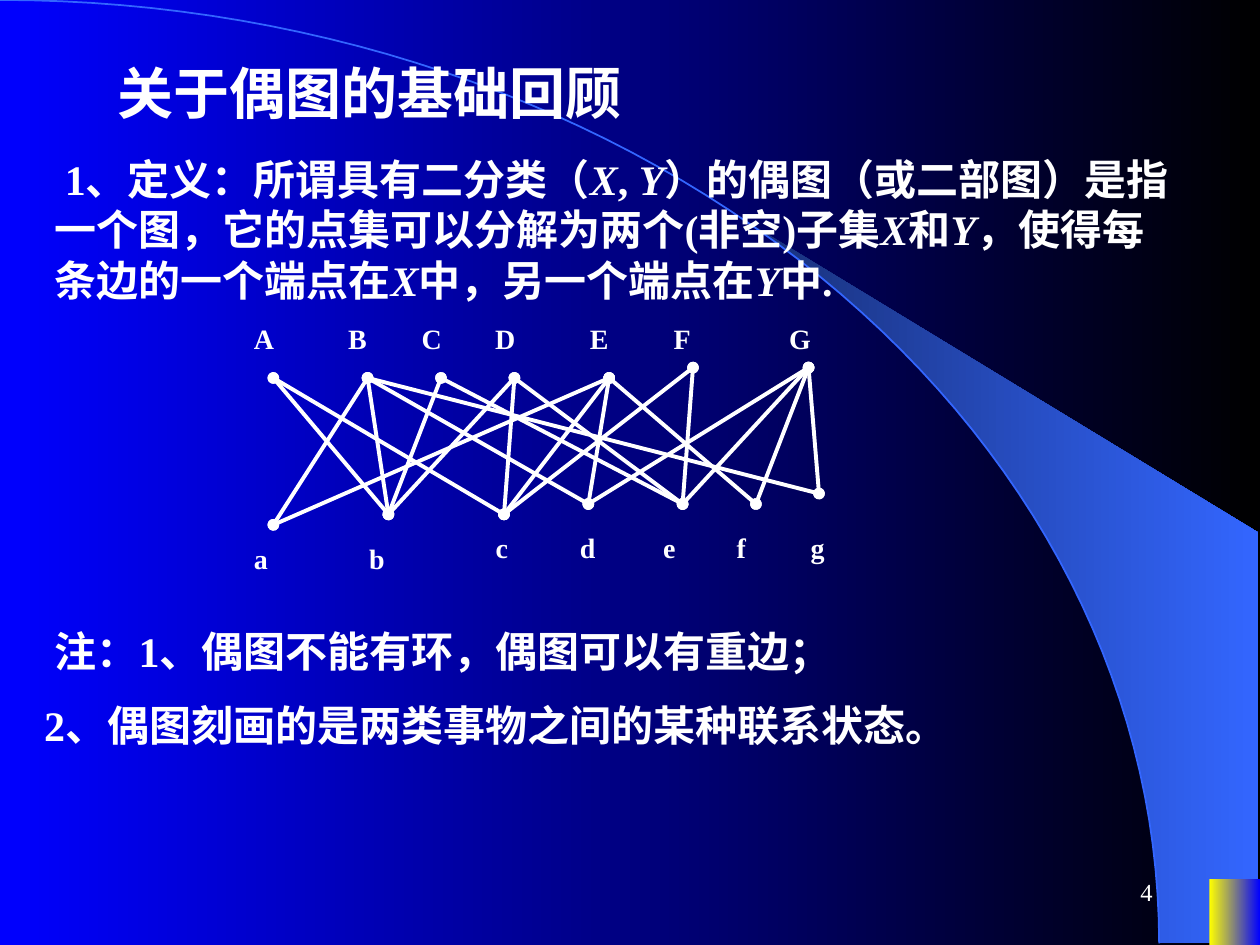
from dataclasses import dataclass
from math import asin, cos, pi, sin
from typing import NamedTuple

from lxml import etree
from pptx import Presentation
from pptx.dml.color import RGBColor
from pptx.enum.shapes import MSO_CONNECTOR, MSO_SHAPE
from pptx.enum.text import MSO_ANCHOR, MSO_AUTO_SIZE, PP_ALIGN
from pptx.oxml.ns import qn
from pptx.util import Cm, Pt

STRAIGHT = MSO_CONNECTOR.STRAIGHT
RECTANGLE = MSO_SHAPE.RECTANGLE
TOP, MIDDLE = MSO_ANCHOR.TOP, MSO_ANCHOR.MIDDLE
LEFT, RIGHT = PP_ALIGN.LEFT, PP_ALIGN.RIGHT
NO_AUTOFIT = MSO_AUTO_SIZE.NONE
TITLE_ONLY = 5


@dataclass(frozen=True)
class Theme:
    """Colours, font and type sizes of the slide."""
    font: str = "Times New Roman"
    text: str = "FFFFFF"
    night: tuple = ("0000FF", "000000")
    wedge: tuple = ("182F76", "3366FF")
    corner: tuple = ("FFFF00", "0000FF")
    arc: str = "3366FF"
    title: int = 32
    body: int = 24
    label: int = 16
    number: int = 14
    edge: float = 2.25


class Box(NamedTuple):
    """A rectangle in centimetres."""
    left: float
    top: float
    width: float
    height: float

    def inner(self, dx, dy, width, height):
        """Return a box offset from this one's corner."""
        return Box(self.left + dx, self.top + dy, width, height)

    def emu(self):
        """Return the four lengths for python-pptx."""
        return [Cm(length) for length in self]


THEME = Theme()
VARIABLES = ("X", "Y")
DEFINITION = (
    "1、定义：所谓具有二分类（", "X", ", ", "Y",
    "）的偶图（或二部图）是指一个图，它的点集可以分解为两个(非空)子集",
    "X", "和", "Y", "，使得每条边的一个端点在", "X", "中，另一个端点在", "Y", "中.",
)
LOOPS_NOTE = ("注：1、偶图不能有环，偶图可以有重边；",)
MEANING_NOTE = ("2、偶图刻画的是两类事物之间的某种联系状态。",)
VERTICES = {
    "A": (0.64, 1.27), "B": (2.54, 1.27), "C": (4.02, 1.27), "D": (5.5, 1.27),
    "E": (7.41, 1.27), "F": (9.1, 1.06), "G": (11.43, 1.06),
    "a": (0.64, 4.23), "b": (2.96, 4.02), "c": (5.29, 4.02), "d": (6.99, 3.81),
    "e": (8.89, 3.81), "f": (10.37, 3.81), "g": (11.64, 3.6),
}
NEIGHBOURS = {"A": "bc", "B": "abdg", "C": "be", "D": "bce",
              "E": "acdf", "F": "ce", "G": "defg"}


def paint_gradient(fill, colours):
    """Fill from left to right between two colours."""
    fill.gradient()
    fill.gradient_angle = 0
    for stop, colour in zip(fill.gradient_stops, colours):
        stop.color.rgb = RGBColor.from_string(colour)


def write(frame, parts, size, bold=True, anchor=TOP, align=LEFT, indent=0):
    """Write one paragraph, with the variables in italics."""
    frame.word_wrap = True
    frame.auto_size = NO_AUTOFIT
    frame.vertical_anchor = anchor
    paragraph = frame.paragraphs[0]
    paragraph.alignment = align
    if indent:
        paragraph._p.get_or_add_pPr().set("indent", str(Cm(indent)))
    font = paragraph.font
    font.name, font.size, font.bold = THEME.font, Pt(size), bold
    font.color.rgb = RGBColor.from_string(THEME.text)
    for part in parts:
        run = paragraph.add_run()
        run.text = part
        if part in VARIABLES:
            run.font.italic = True


def add_text(shapes, box, parts, size, **layout):
    """Add a text box holding one paragraph."""
    write(shapes.add_textbox(*box.emu()).text_frame, parts, size, **layout)


def add_outline(shapes, points, close):
    """Add a freeform through points given in centimetres."""
    start, *rest = [(Cm(x), Cm(y)) for x, y in points]
    builder = shapes.build_freeform(*start, scale=1.0)
    builder.add_line_segments(rest, close=close)
    outline = builder.convert_to_shape()
    outline.shadow.inherit = False
    return outline


def draw_backdrop(slide, box):
    """Draw the gradient, the quarter ellipse, its wedge and the corner block."""
    paint_gradient(slide.background.fill, THEME.night)
    radius_x, radius_y = 0.92 * box.width, box.height - 0.03

    def curve(start, steps=60):
        """Return points of the ellipse from an angle to its right end."""
        angles = [start + (pi / 2 - start) * i / steps for i in range(steps + 1)]
        return [(box.left + radius_x * sin(angle),
                 box.top + radius_y * (1 - cos(angle))) for angle in angles]

    right = box.left + box.width - 0.03
    corners = [(right, box.top + radius_y), (right, box.top + 10.74)]
    wedge = add_outline(slide.shapes, curve(asin(0.64)) + corners, True)
    paint_gradient(wedge.fill, THEME.wedge)
    wedge.line.fill.background()

    arc = add_outline(slide.shapes, curve(0), False)
    arc.fill.background()
    arc.line.color.rgb = RGBColor.from_string(THEME.arc)
    arc.line.width = Pt(1)

    width, height = 1.02, 1.32
    corner_box = box.inner(box.width - width, box.height - height, width, height)
    corner = slide.shapes.add_shape(RECTANGLE, *corner_box.emu())
    corner.shadow.inherit = False
    paint_gradient(corner.fill, THEME.corner)
    corner.line.fill.background()


def place_title(slide, box):
    """Move the title placeholder in front of the backdrop and fill it."""
    title = slide.shapes.title
    title.left, title.top, title.width, title.height = box.emu()
    write(title.text_frame, ("关于偶图的基础回顾",), THEME.title)
    slide.shapes._spTree.append(title._element)


def add_edge(shapes, start, end):
    """Add a line with a dot at each end."""
    edge = shapes.add_connector(STRAIGHT, *(Cm(v) for v in (*start, *end)))
    edge.line.color.rgb = RGBColor.from_string(THEME.text)
    edge.line.width = Pt(THEME.edge)
    properties = edge._element.spPr
    for tip in ("a:headEnd", "a:tailEnd"):
        etree.SubElement(properties.find(qn("a:ln")), qn(tip), type="oval")
    etree.SubElement(properties, qn("a:effectLst"))


def draw_bipartite_graph(slide, box):
    """Draw the vertex labels and the edges of the graph as one group."""
    shapes = slide.shapes.add_group_shape().shapes
    points = {name: (box.left + x, box.top + y)
              for name, (x, y) in VERTICES.items()}
    for name, (x, _) in VERTICES.items():
        dx = x - (0.42 if name in "cdg" else 0.64)
        dy = 0 if name.isupper() else 4.45 if name in "ab" else 4.23
        add_text(shapes, box.inner(dx, dy, 1.32, 0.94), (name,), THEME.label)
    for upper, neighbours in NEIGHBOURS.items():
        for lower in neighbours:
            add_edge(shapes, points[upper], points[lower])


def write_notes(slide, box):
    """Write the two remarks below the graph."""
    row = box.height / 2
    for i, (note, indent) in enumerate(((LOOPS_NOTE, 0.21), (MEANING_NOTE, 0))):
        add_text(slide.shapes, box.inner(0, i * row, box.width, 1.27), note,
                 THEME.body, anchor=MIDDLE, indent=indent)


def main():
    """Build and save the slide."""
    deck = Presentation()
    page = Box(0, 0, 25.4, 19.05)
    deck.slide_width, deck.slide_height = Cm(page.width), Cm(page.height)
    slide = deck.slides.add_slide(deck.slide_layouts[TITLE_ONLY])
    draw_backdrop(slide, page)
    add_text(slide.shapes, Box(18.21, 17.35, 5.28, 1.27), ("4",), THEME.number,
             bold=False, anchor=MIDDLE, align=RIGHT)
    place_title(slide, Box(2.12, 1.06, 18.63, 1.63))
    add_text(slide.shapes, Box(0.85, 2.96, 23.07, 3.31), DEFINITION, THEME.body,
             anchor=MIDDLE, indent=0.21)
    draw_bipartite_graph(slide, Box(4.87, 6.35, 12.53, 5.38))
    write_notes(slide, Box(0.64, 12.49, 23.07, 2.96))
    deck.save("out.pptx")


if __name__ == "__main__":
    main()
